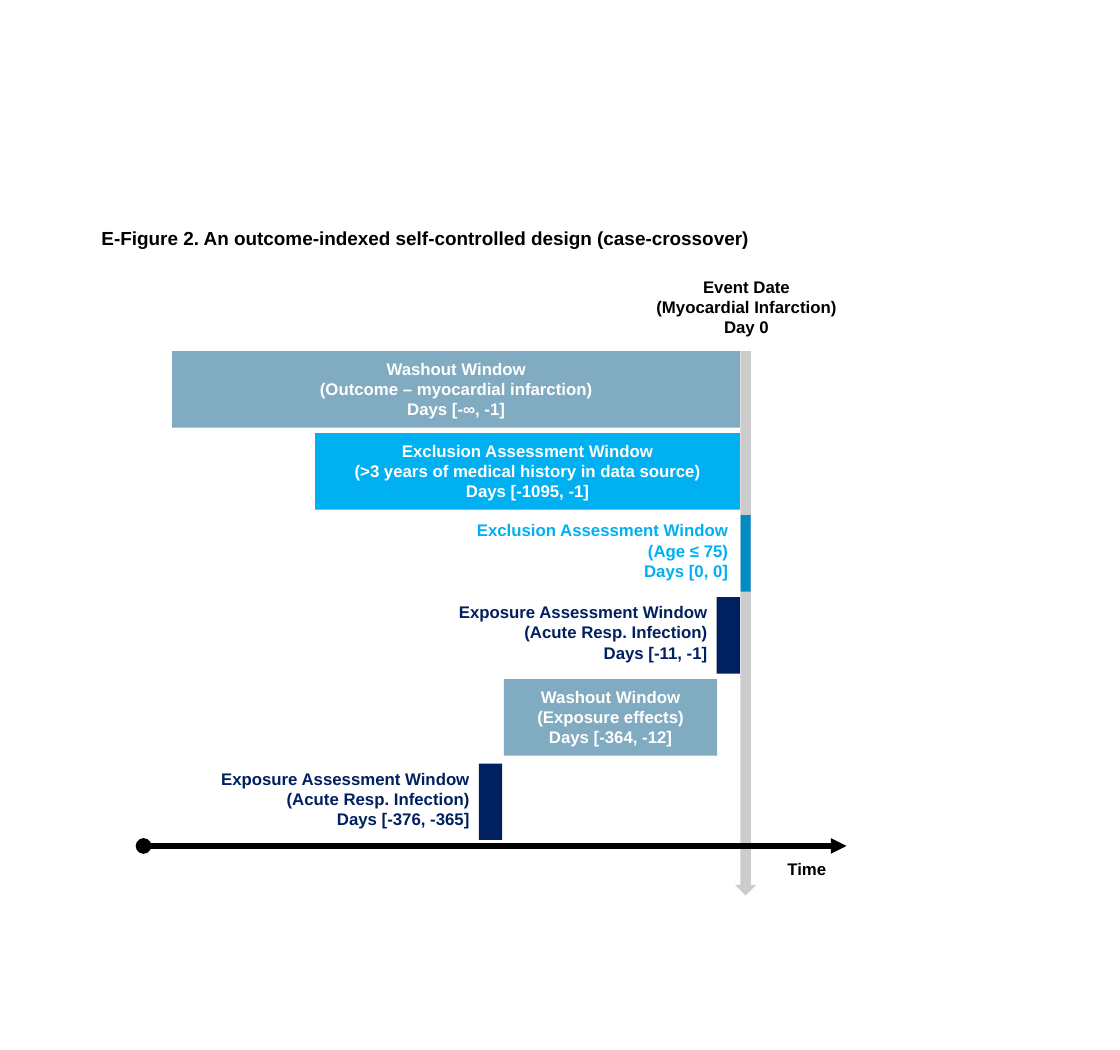
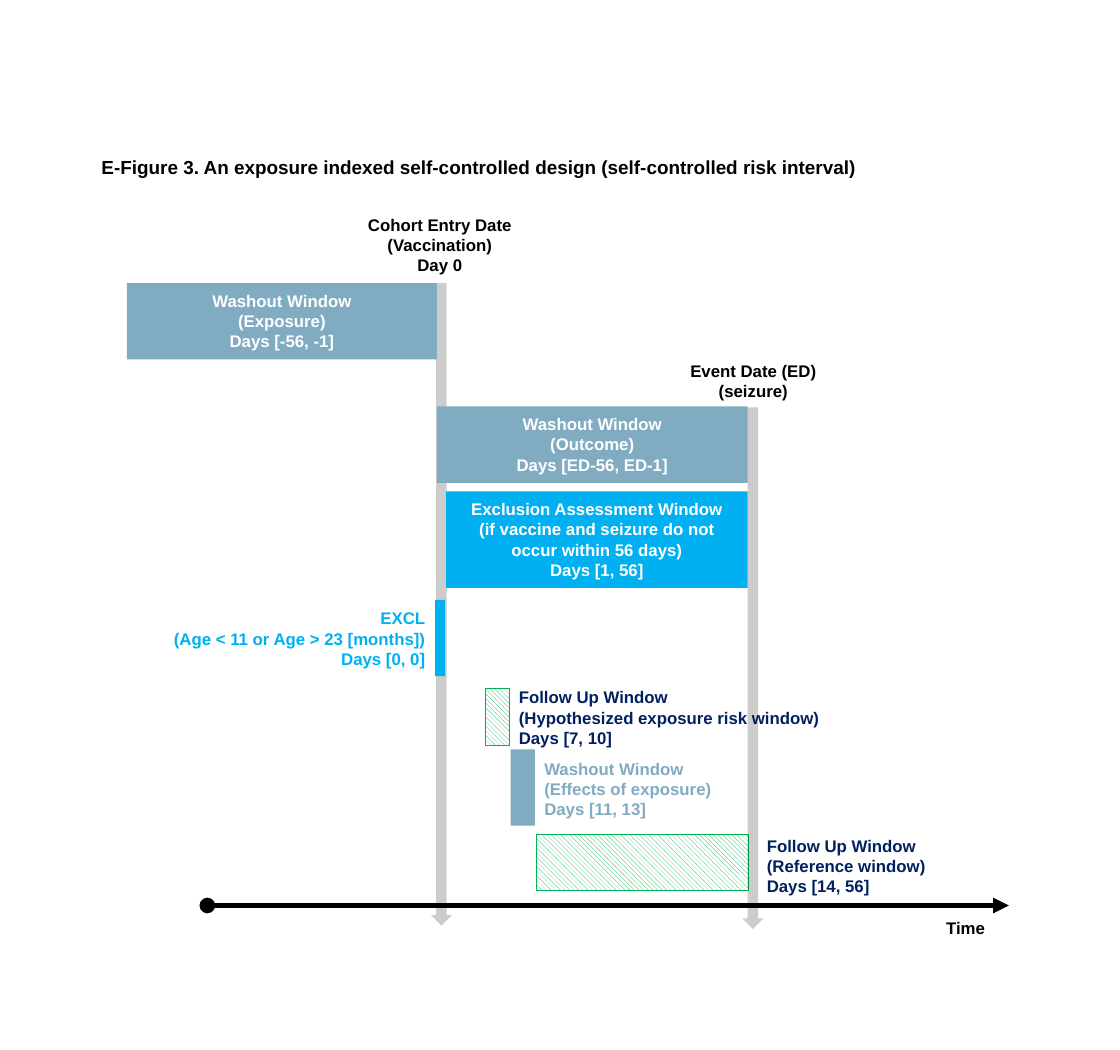
import pptx
import pptx.dml.color
import pptx.enum.dml
import pptx.enum.shapes
import pptx.enum.text
import pptx.oxml
import pptx.oxml.ns
import pptx.util

Cm = pptx.util.Cm
Pt = pptx.util.Pt
SHAPE = pptx.enum.shapes.MSO_SHAPE
ALIGN = pptx.enum.text.PP_ALIGN

BLACK, WHITE = "000000", "FFFFFF"
WASHOUT, EXCLUSION, EXPOSURE, FOLLOW_UP = "80ABC1", "00B0F0", "002060", "00B050"
ROW_HEIGHT = 2.31


def rgb(value):
    return pptx.dml.color.RGBColor.from_string(value)


def drawing_element(tag, **attributes):
    element = pptx.oxml.parse_xml(f"<a:{tag} {pptx.oxml.ns.nsdecls('a')}/>")
    for name, value in attributes.items():
        element.set(name, value)
    return element


class Timeline:
    """Draws study-design timelines in one shared style."""

    font = {"name": "Arial", "bold": True}
    body_size, title_size = 14.4, 16.2
    body_frame = {"margin_left": Cm(0.25), "margin_right": Cm(0.25),
                  "margin_top": Cm(0.23), "margin_bottom": Cm(0.23),
                  "word_wrap": True,
                  "vertical_anchor": pptx.enum.text.MSO_ANCHOR.TOP}
    heading_frame = {**body_frame, "margin_top": Cm(0.13),
                     "margin_bottom": Cm(0.13), "word_wrap": False}
    title_frame = {**heading_frame, "word_wrap": True}

    def __init__(self):
        self.deck = pptx.Presentation()
        self.deck.slide_width = Cm(33.87)
        self.deck.slide_height = Cm(31.75)
        self.page = None

    def new_page(self, title, top):
        self.page = self.deck.slides.add_slide(self.deck.slide_layouts[6])
        box = self.text_box((2.82, top, 24, 0.94))
        self.set_text(box, [title], BLACK, ALIGN.LEFT, self.title_frame, self.title_size)

    def set_text(self, box, lines, color, align, frame_format, size=body_size):
        frame = box.text_frame
        for name, value in frame_format.items():
            setattr(frame, name, value)
        font_format = {**self.font, "size": Pt(size)}
        for index, line in enumerate(lines):
            para = frame.add_paragraph() if index else frame.paragraphs[0]
            para.alignment = align
            span = para.add_run()
            span.text = line
            for name, value in font_format.items():
                setattr(span.font, name, value)
            span.font.color.rgb = rgb(color)

    def text_box(self, place):
        return self.page.shapes.add_textbox(*map(Cm, place))

    def heading(self, place, lines):
        self.set_text(self.text_box(place), lines, BLACK, ALIGN.CENTER, self.heading_frame)

    def label(self, left, top, width, color, lines, align=ALIGN.RIGHT):
        box = self.text_box((left, top, width, ROW_HEIGHT))
        self.set_text(box, lines, color, align, self.body_frame)

    def plain_shape(self, kind, place, color):
        shape = self.page.shapes.add_shape(kind, *map(Cm, place))
        shape.shadow.inherit = False
        shape.fill.solid()
        shape.fill.fore_color.rgb = rgb(color)
        shape.line.fill.background()
        return shape

    def window(self, left, top, width, color, lines=(), height=ROW_HEIGHT):
        shape = self.plain_shape(SHAPE.RECTANGLE, (left, top, width, height), color)
        self.set_text(shape, lines, WHITE, ALIGN.CENTER, self.body_frame)

    def hatched_window(self, left, top, width):
        shape = self.plain_shape(SHAPE.RECTANGLE, (left, top, width, 1.7), WHITE)
        shape.fill.patterned()
        shape.fill.pattern = pptx.enum.dml.MSO_PATTERN.WIDE_DOWNWARD_DIAGONAL
        shape.fill.fore_color.rgb = rgb(FOLLOW_UP)
        shape.fill.back_color.rgb = rgb(WHITE)
        shape.line.color.rgb = rgb(FOLLOW_UP)
        shape.line.width = Pt(0.75)

    def date_arrow(self, left, top, height):
        shape = self.plain_shape(SHAPE.DOWN_ARROW, (left, top, 0.64, height), BLACK)
        color = shape._element.spPr.find(".//" + pptx.oxml.ns.qn("a:srgbClr"))
        color.append(drawing_element("alpha", val="20000"))

    def time_axis(self, left, right, top, label_left):
        line = self.page.shapes.add_connector(
            pptx.enum.shapes.MSO_CONNECTOR.STRAIGHT, Cm(left), Cm(top), Cm(right), Cm(top))
        line.line.color.rgb = rgb(BLACK)
        line.line.width = Pt(4.5)
        properties = line._element.spPr
        outline = properties.find(pptx.oxml.ns.qn("a:ln"))
        outline.append(drawing_element("headEnd", type="oval"))
        outline.append(drawing_element("tailEnd", type="triangle"))
        properties.append(drawing_element("effectLst"))
        self.heading((label_left, top + 0.25, 1.7, 0.86), ["Time"])


def draw_case_crossover(timeline):
    timeline.new_page(
        "E-Figure 2. An outcome-indexed self-controlled design (case-crossover)", 6.71)
    rows = [10.62 + 2.48 * index for index in range(5)] + [23.09]
    infection = ["Exposure Assessment Window", "(Acute Resp. Infection)"]

    timeline.window(22.4, rows[2], 0.3, EXCLUSION)
    timeline.date_arrow(22.23, rows[0], 16.46)
    timeline.heading((19.58, 8.23, 5.99, 2.11),
                     ["Event Date", "(Myocardial Infarction)", "Day 0"])
    timeline.window(5.21, rows[0], 17.17, WASHOUT, [
        "Washout Window", "(Outcome – myocardial infarction)", "Days [-∞, -1]"])
    timeline.window(9.53, rows[1], 12.85, EXCLUSION, [
        "Exclusion Assessment Window", "(>3 years of medical history in data source)",
        "Days [-1095, -1]"])
    timeline.label(12.19, rows[2] - 0.08, 10.08, EXCLUSION, [
        "Exclusion Assessment Window", "(Age ≤ 75)", "Days [0, 0]"])
    timeline.window(15.24, rows[4], 6.45, WASHOUT, [
        "Washout Window", "(Exposure effects)", "Days [-364, -12]"])
    for left, row, days in ((21.67, rows[3], "Days [-11, -1]"),
                            (14.48, rows[5], "Days [-376, -365]")):
        timeline.window(left, row, 0.71, EXPOSURE)
        timeline.label(left - 10.03, row - 0.09, 10, EXPOSURE, infection + [days])
    timeline.time_axis(4.34, 25.6, 25.58, 23.55)


def draw_risk_interval(timeline):
    timeline.new_page(
        "E-Figure 3. An exposure indexed self-controlled design "
        "(self-controlled risk interval)", 4.57)
    timeline.date_arrow(13.03, 8.56, 19.43)
    timeline.heading((10.85, 6.35, 4.9, 2.11),
                     ["Cohort Entry Date", "(Vaccination)", "Day 0"])
    timeline.window(3.84, 8.56, 9.37, WASHOUT, [
        "Washout Window", "(Exposure)", "Days [-56, -1]"])
    timeline.window(13.16, 18.14, 0.3, EXCLUSION)
    timeline.label(4.75, 18.16, 8.36, EXCLUSION, [
        "EXCL", "(Age < 11 or Age > 23 [months])", "Days [0, 0]"])
    timeline.time_axis(6.27, 30.51, 27.38, 28.35)
    timeline.window(13.21, 12.29, 9.4, WASHOUT, [
        "Washout Window", "(Outcome)", "Days [ED-56, ED-1]"])
    timeline.heading((20.29, 10.77, 4.98, 1.47), ["Event Date (ED)", "(seizure)"])

    timeline.hatched_window(14.68, 20.83, 0.74)
    timeline.window(15.44, 22.66, 0.74, WASHOUT)
    timeline.hatched_window(16.23, 25.22, 6.4)
    for left, top, width, color, lines in (
            (15.44, 20.55, 14.58, EXPOSURE, [
                "Follow Up Window", "(Hypothesized exposure risk window)", "Days [7, 10]"]),
            (16.21, 22.71, 7.9, WASHOUT, [
                "Washout Window", "(Effects of exposure)", "Days [11, 13]"]),
            (22.94, 25.04, 7.9, EXPOSURE, [
                "Follow Up Window", "(Reference window)", "Days [14, 56]"])):
        timeline.label(left, top, width, color, lines, ALIGN.LEFT)
    timeline.date_arrow(22.45, 12.32, 15.77)
    timeline.window(13.49, 14.86, 9.12, EXCLUSION, [
        "Exclusion Assessment Window",
        "(if vaccine and seizure do not occur within 56 days)", "Days [1, 56]"], 2.92)


def main():
    timeline = Timeline()
    draw_case_crossover(timeline)
    draw_risk_interval(timeline)
    timeline.deck.save("out.pptx")


if __name__ == "__main__":
    main()
